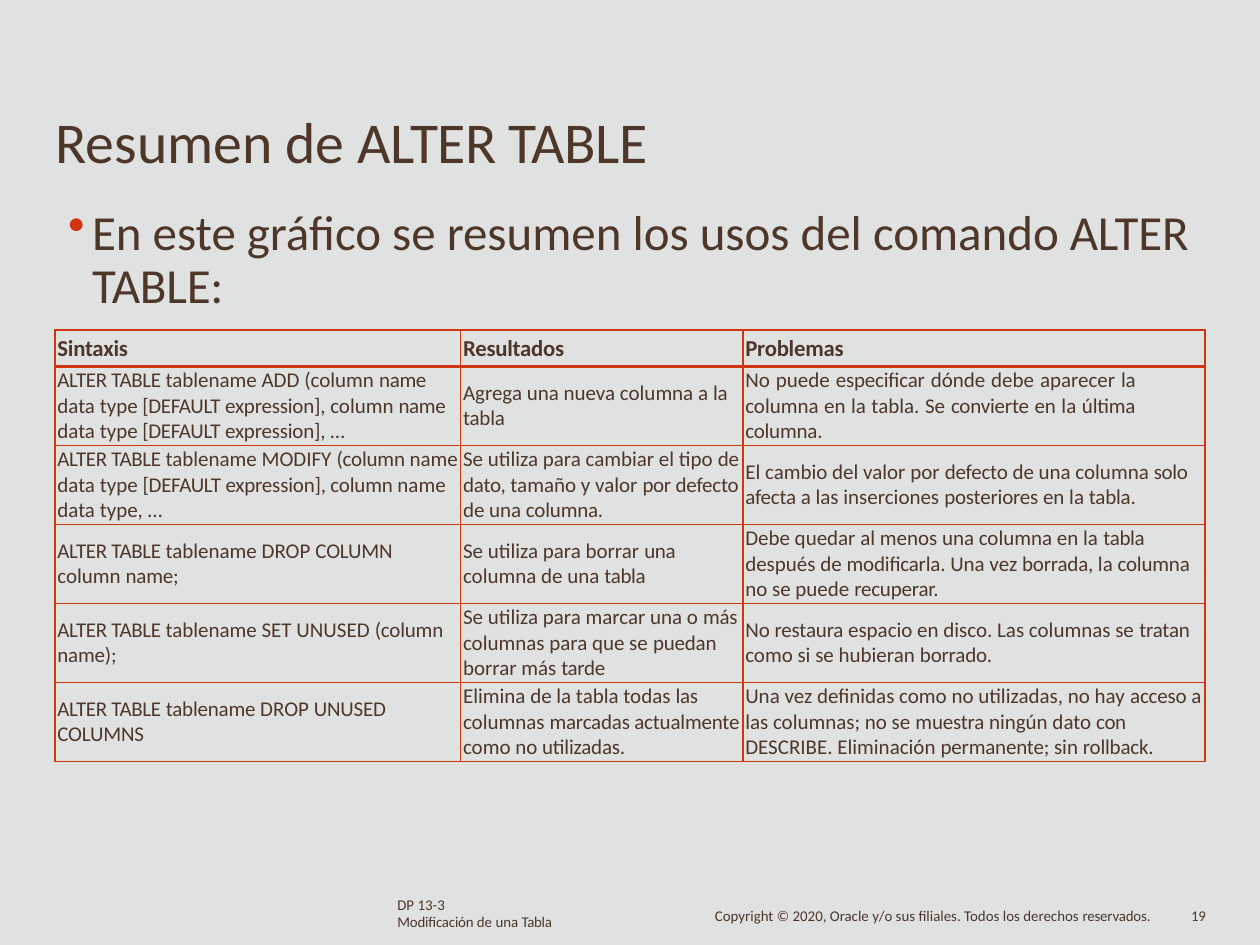
import pptx
import pptx.util
import pptx.dml.color
import pptx.enum.text
import pptx.oxml.ns
import lxml.etree

Pt = pptx.util.Pt
PP_ALIGN = pptx.enum.text.PP_ALIGN
MIDDLE = pptx.enum.text.MSO_ANCHOR.MIDDLE
qn = pptx.oxml.ns.qn

FONT, BROWN, RED, GREY = "Calibri", "4E3629", "D1350F", "E0E2E1"

# Content: a paragraph is a list of (text, letter spacing) runs
TITLE = [[("Resumen de ", 0), ("ALTER TABLE", -0.3)]]
BODY = [[("En este gráfico se resumen los usos del comando ", 0), ("ALTER TABLE:", -0.1)]]

# Footer: left, top, width, height, line spacings, paragraphs
FOOTERS = [
    (226.1, 513.4, 93.6, 19.4, (8.6, 9.7),
     [[("DP 13-", 0), ("3", -0.5)],
      [("Modificación ", -0.1), ("de una ", 0), ("Tabla", -0.2)]]),
    (407.5, 519.1, 253.4, 10.8, (9.1,),
     [[("Copyright © 2020, Oracle y/o sus filiales. Todos los derechos ", 0),
       ("reservados.", -0.1)]]),
    (679.7, 519.1, 13.7, 10.8, (9.1,), [[("19", -0.2)]]),
]

HEADERS = ["Sintaxis", "Resultados", "Problemas"]

# Table body: each cell is a list of paragraphs
ROWS = [
    [
        [[("ALTER TABLE ", -0.2), ("tablename ADD (column ", 0), ("name ", -0.2),
          ("data type", 0), (" [DEFAULT ", -0.2), ("expression], ", -0.1),
          ("column ", 0), ("name ", -0.2), ("data type", 0),
          (" [DEFAULT ", -0.2), ("expression], ", -0.1), ("…", -0.5)]],
        [[("Agrega una nueva columna a ", 0), ("la", -0.2)], [("tabla", -0.1)]],
        [[("No puede ", 0), ("especificar ", -0.1), ("dónde debe aparecer", 0),
          (" la ", -0.2), ("columna en la tabla. Se ", 0), ("convierte ", -0.1),
          ("en la ", 0), ("última columna.", -0.1)]],
    ],
    [
        [[("ALTER TABLE ", -0.2), ("tablename MODIFY ", 0), ("(column ", -0.1),
          ("name data type ", 0), ("[DEFAULT ", -0.2), ("expression], column ", -0.1),
          ("name data type, ", 0), ("…", -0.5)]],
        [[("Se utiliza para cambiar el tipo ", 0), ("de ", -0.2), ("dato, ", -0.1),
          ("tamaño y valor ", 0), ("por ", -0.2), ("defecto ", -0.1),
          ("de una", 0), (" columna.", -0.1)]],
        [[("El cambio del valor por ", 0), ("defecto ", -0.1), ("de una columna ", 0),
          ("solo ", -0.2), ("afecta ", -0.1), ("a las inserciones ", 0),
          ("posteriores ", -0.1), ("en la ", 0), ("tabla.", -0.1)]],
    ],
    [
        [[("ALTER TABLE ", -0.2), ("tablename DROP ", 0), ("COLUMN ", -0.1),
          ("column ", 0), ("name;", -0.1)]],
        [[("Se utiliza para borrar ", 0), ("una ", -0.2), ("columna de una ", 0),
          ("tabla", -0.2)]],
        [[("Debe quedar al menos una columna en la ", 0), ("tabla ", -0.2),
          ("después de ", 0), ("modificarla. ", -0.1), ("Una vez ", 0),
          ("borrada, ", -0.1), ("la ", 0), ("columna ", -0.1),
          ("no se puede ", 0), ("recuperar.", -0.1)]],
    ],
    [
        [[("ALTER TABLE ", -0.2), ("tablename SET UNUSED ", 0), ("(column name);", -0.1)]],
        [[("Se utiliza para marcar una o ", 0), ("más ", -0.2),
          ("columnas para que se ", 0), ("puedan ", -0.1), ("borrar más ", 0),
          ("tarde", -0.2)]],
        [[("No ", 0), ("restaura ", -0.1), ("espacio en disco. Las columnas se ", 0),
          ("tratan ", -0.1), ("como si se hubieran ", 0), ("borrado.", -0.1)]],
    ],
    [
        [[("ALTER TABLE", -0.2), (" tablename ", -0.1), ("DROP ", 0), ("UNUSED", -0.1)],
         [("COLUMNS", -0.1)]],
        [[("Elimina de la tabla todas ", 0), ("las ", -0.2), ("columnas ", 0),
          ("marcadas actualmente ", -0.1), ("como no", 0), (" utilizadas.", -0.1)]],
        [[("Una vez definidas como no utilizadas, no hay ", 0), ("acceso ", -0.1),
          ("a las columnas; no se ", 0), ("muestra ", -0.1), ("ningún dato ", 0),
          ("con ", -0.2), ("DESCRIBE. Eliminación ", 0), ("permanente; ", -0.1),
          ("sin ", 0), ("rollback.", -0.1)]],
    ],
]
COL_WIDTHS = [231.84, 161.28, 264.24]
HEADER_HEIGHT, ROW_HEIGHT = 20.88, 45.14


def color(value):
    return pptx.dml.color.RGBColor.from_string(value)


def write(tf, paragraphs, size, bold=False, spacings=()):
    for i, runs in enumerate(paragraphs):
        p = tf.paragraphs[0] if i == 0 else tf.add_paragraph()
        if spacings:
            p.line_spacing = Pt(spacings[i])
        for text, spacing in runs:
            r = p.add_run()
            r.text = text
            r.font.name, r.font.size, r.font.bold = FONT, Pt(size), bold
            r.font.color.rgb = color(BROWN)
            if spacing:
                r.font._element.set("spc", str(round(spacing * 100)))


def set_margins(target, left=0, top=0, right=0):
    target.margin_left, target.margin_top = Pt(left), Pt(top)
    target.margin_right, target.margin_bottom = Pt(right), Pt(0)


def add_text(s, box, paragraphs, size, left=0, top=0, wrap=False, spacings=()):
    tf = s.shapes.add_textbox(*map(Pt, box)).text_frame
    tf.word_wrap = wrap
    set_margins(tf, left, top)
    write(tf, paragraphs, size, spacings=spacings)
    return tf


def add_bullet(p, indent, hanging):
    pPr = p._p.get_or_add_pPr()
    pPr.set("marL", str(Pt(indent)))
    pPr.set("indent", str(-Pt(hanging)))
    clr = lxml.etree.SubElement(pPr, qn("a:buClr"))
    lxml.etree.SubElement(clr, qn("a:srgbClr"), val=RED)
    lxml.etree.SubElement(pPr, qn("a:buChar"), char="•")


def set_borders(cell, top, bottom):
    tcPr = cell._tc.get_or_add_tcPr()
    sides = [("L", 1), ("R", 1), ("T", top), ("B", bottom)]
    for i, (side, width) in enumerate(sides):
        ln = lxml.etree.Element(qn("a:ln" + side), w=str(Pt(width)))
        fill = lxml.etree.SubElement(ln, qn("a:solidFill"))
        lxml.etree.SubElement(fill, qn("a:srgbClr"), val=RED)
        tcPr.insert(i, ln)


prs = pptx.Presentation()
prs.slide_width, prs.slide_height = Pt(720), Pt(540)
s = prs.slides.add_slide(prs.slide_layouts[6])
s.background.fill.solid()
s.background.fill.fore_color.rgb = color(GREY)

# Title and bullet
add_text(s, (31, 59, 343.4, 41.8), TITLE, 33, left=0.7, top=1.7)
tf = add_text(s, (38.2, 111.6, 643.7, 65.5), BODY, 28, top=7, wrap=True, spacings=(30.2,))
add_bullet(tf.paragraphs[0], 14.4, 13.7)

# Summary table
heights = [HEADER_HEIGHT] + [ROW_HEIGHT] * len(ROWS)
table = s.shapes.add_table(len(heights), len(COL_WIDTHS), Pt(31.4), Pt(188.6),
                           Pt(sum(COL_WIDTHS)), Pt(sum(heights))).table
table.horz_banding = False
for column, width in zip(table.columns, COL_WIDTHS):
    column.width = Pt(width)
for row, height in zip(table.rows, heights):
    row.height = Pt(height)

header_cells = [[[(text, -0.1)]] for text in HEADERS]
for i, row in enumerate([header_cells] + ROWS):
    for j, paragraphs in enumerate(row):
        cell = table.cell(i, j)
        set_margins(cell, left=1.4)
        cell.vertical_anchor = MIDDLE
        cell.fill.background()
        set_borders(cell, 2.25 if i == 1 else 1, 2.25 if i == 0 else 1)
        write(cell.text_frame, paragraphs, 12 if i else 13, bold=i == 0)

# The first remark on problems is justified in a narrower measure
cell = table.cell(1, 2)
cell.margin_right = Pt(40)
cell.text_frame.paragraphs[0].alignment = PP_ALIGN.JUSTIFY

# Footer
for *box, spacings, paragraphs in FOOTERS:
    add_text(s, box, paragraphs, 8.5, left=1, spacings=spacings)

prs.save("out.pptx")
